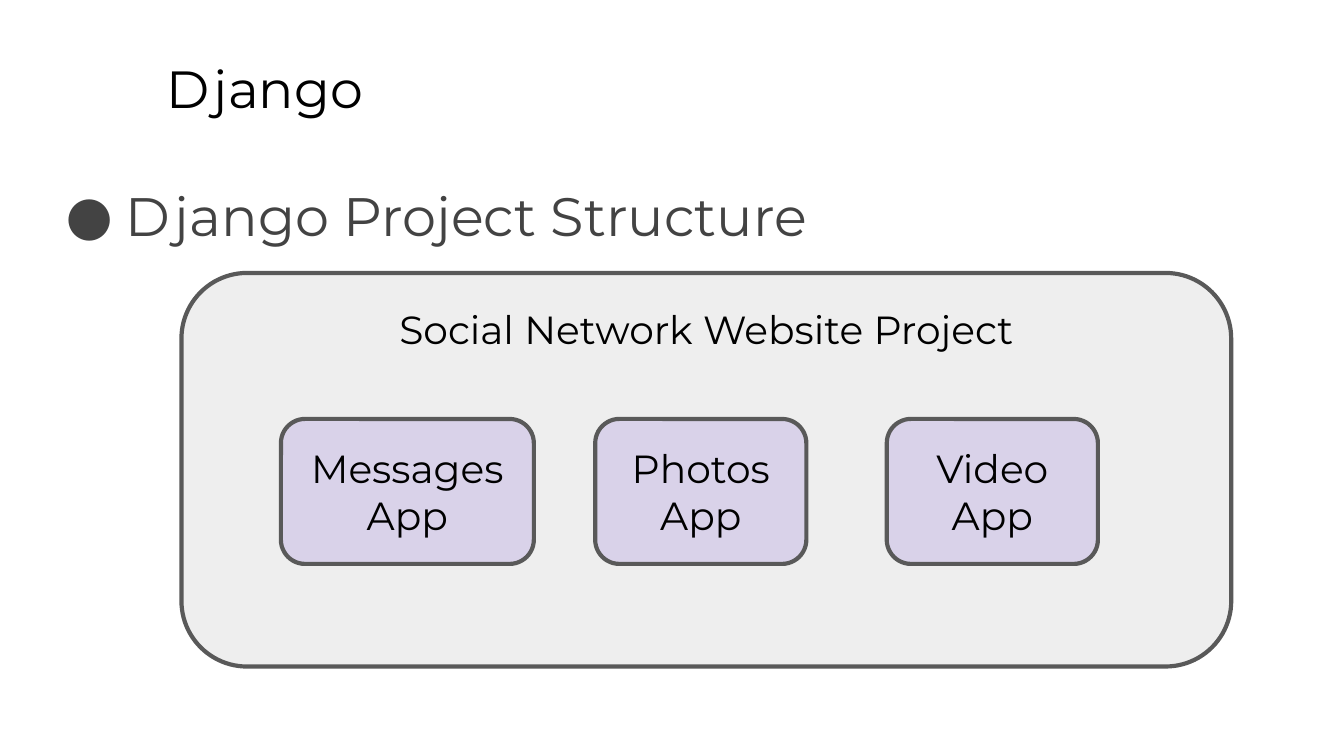
from lxml.etree import SubElement
from pptx import Presentation
from pptx.dml.color import RGBColor
from pptx.enum.shapes import MSO_SHAPE
from pptx.enum.text import MSO_ANCHOR, MSO_AUTO_SIZE, PP_ALIGN
from pptx.oxml.ns import qn
from pptx.util import Cm, Pt

# Content
TITLE = "Django"
HEADING = "Django Project Structure"
PROJECT = "Social Network Website Project"
APPS = [  # name, left, width in cm
    ("Messages", 5.31, 4.78),
    ("Photos", 11.25, 3.99),
    ("Video", 16.76, 3.99),
]
APP_TOP, APP_HEIGHT = 7.92, 2.74

FONT = "Montserrat"
COLORS = {
    "text": "000000",
    "heading": "434343",
    "project": "EEEEEE",
    "app": "D9D2E9",
    "border": "595959",
}


def color(name):
    return RGBColor.from_string(COLORS[name])


def write(shape, text, size, color_name="text", align=PP_ALIGN.LEFT, anchor=MSO_ANCHOR.TOP):
    frame = shape.text_frame
    frame.text = text
    frame.word_wrap = True
    frame.auto_size = MSO_AUTO_SIZE.NONE
    frame.vertical_anchor = anchor
    frame.margin_left = frame.margin_right = Cm(0.25)
    frame.margin_top = frame.margin_bottom = Cm(0.25)
    for paragraph in frame.paragraphs:
        paragraph.alignment = align
        for span in paragraph.runs:
            span.font.name = FONT
            span.font.size = Pt(size)
            span.font.color.rgb = color(color_name)


def add_rounded_box(page, left, top, width, height, fill, text, anchor):
    box = page.shapes.add_shape(
        MSO_SHAPE.ROUNDED_RECTANGLE, Cm(left), Cm(top), Cm(width), Cm(height))
    box.shadow.inherit = False
    box.fill.solid()
    box.fill.fore_color.rgb = color(fill)
    box.line.color.rgb = color("border")
    box.line.width = Pt(2.25)
    write(box, text, 21, align=PP_ALIGN.CENTER, anchor=anchor)


def add_bullet(paragraph, color_name):
    properties = paragraph._p.get_or_add_pPr()
    properties.set("marL", str(Cm(1.27)))
    properties.set("indent", str(Cm(-1.14)))
    bullet_color = SubElement(properties, qn("a:buClr"))
    SubElement(bullet_color, qn("a:srgbClr"), val=COLORS[color_name])
    SubElement(properties, qn("a:buFont"), typeface=FONT)
    SubElement(properties, qn("a:buChar"), char="●")


deck = Presentation()
deck.slide_width, deck.slide_height = Cm(25.4), Cm(14.29)
page = deck.slides.add_slide(deck.slide_layouts[5])

# Title
title = page.shapes.title
title.left, title.top, title.width, title.height = Cm(2.9), Cm(0.81), Cm(21.64), Cm(1.6)
write(title, TITLE, 28)

# Bulleted heading
heading = page.shapes.add_textbox(Cm(0.86), Cm(3.2), Cm(24.13), Cm(9.5))
write(heading, HEADING, 29, "heading")
add_bullet(heading.text_frame.paragraphs[0], "heading")

# Project frame with its apps
add_rounded_box(page, 3.43, 5.16, 19.84, 7.44, "project", PROJECT, MSO_ANCHOR.TOP)
for name, left, width in APPS:
    add_rounded_box(page, left, APP_TOP, width, APP_HEIGHT, "app",
                    f"{name}\nApp", MSO_ANCHOR.MIDDLE)

deck.save("out.pptx")
